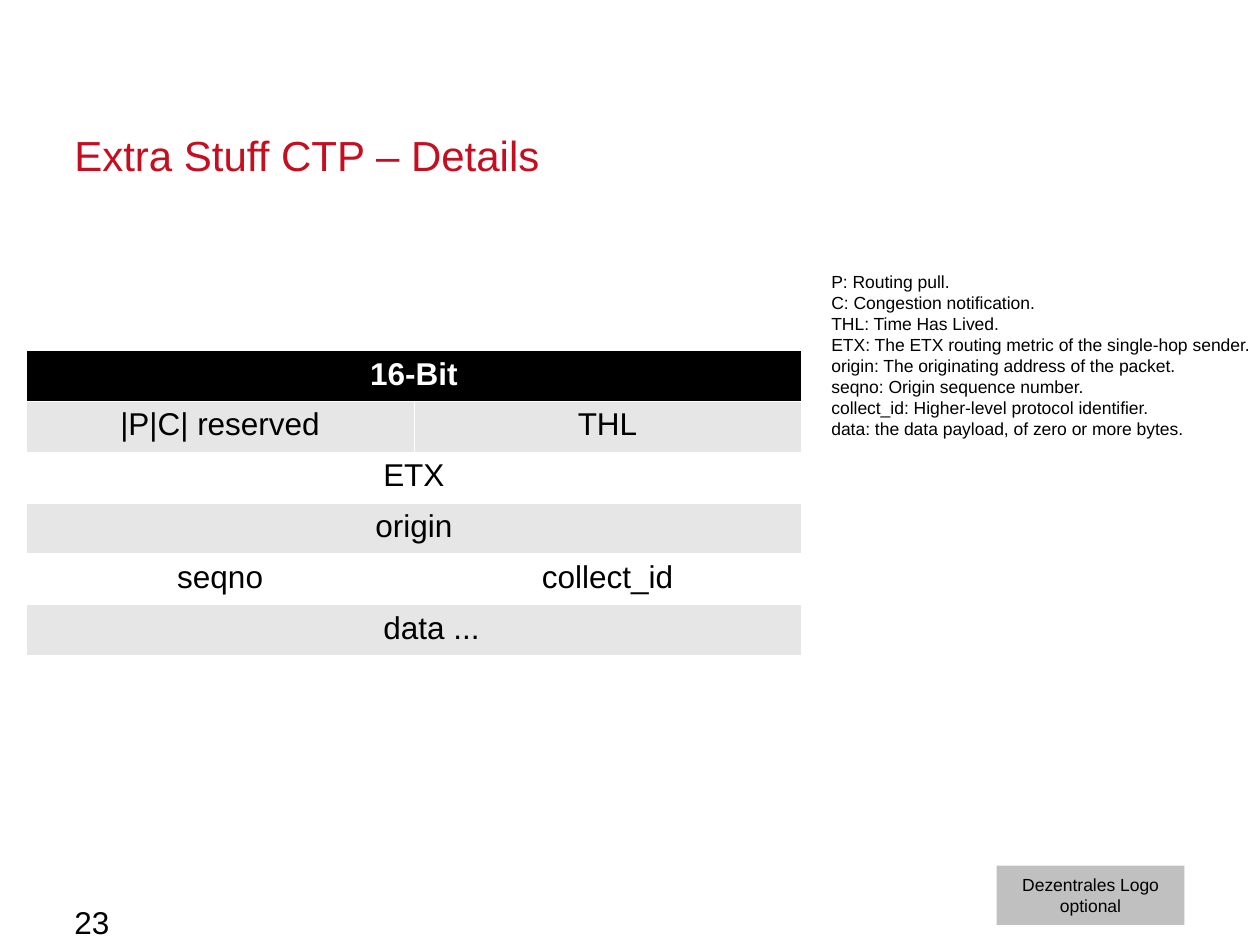
import pptx
import pptx.util
import pptx.dml.color
import pptx.enum.shapes
import pptx.enum.text
import pptx.oxml
import pptx.oxml.ns

Inches, Pt = pptx.util.Inches, pptx.util.Pt
ALIGN = pptx.enum.text.PP_ALIGN
ANCHOR = pptx.enum.text.MSO_ANCHOR

WIDTH, HEIGHT = 10, 7.5
MARGIN = 0.59
INSETS = (0.1, 0.05, 0.1, 0.05)
NO_INSETS = (0, 0, 0, 0)

TITLE = "Extra Stuff CTP – Details"
PAGE_NUMBER = "23"
LOGO_LABEL = ["Dezentrales Logo", "optional"]
PACKET_ROWS = [
    ["16-Bit"],
    ["|P|C| reserved", "THL"],
    ["ETX"],
    ["origin"],
    ["seqno", "collect_id"],
    ["data ..."],
]
FIELD_NOTES = [
    "P: Routing pull.",
    "C: Congestion notification.",
    "THL: Time Has Lived.",
    "ETX: The ETX routing metric of the single-hop sender.",
    "origin: The originating address of the packet.",
    "seqno: Origin sequence number.",
    "collect_id: Higher-level protocol identifier.",
    "data: the data payload, of zero or more bytes.",
]
PACKET_AT = (0.21, 2.78, 6.15, 2.42)
NOTES_LEFT = 6.5
DATA_INDENT = 0.28


def rgb(hex_colour):
    return pptx.dml.color.RGBColor.from_string(hex_colour)


def box(left, top, width, height):
    return [Inches(length) for length in (left, top, width, height)]


def fill_solid(target, colour):
    target.fill.solid()
    target.fill.fore_color.rgb = rgb(colour)


def write(frame, lines, size, colour="000000", bold=False, **paragraph_format):
    frame.text = "\n".join(lines)
    for paragraph in frame.paragraphs:
        for key, value in paragraph_format.items():
            setattr(paragraph, key, value)
        for key, value in {"name": "Arial", "size": Pt(size), "bold": bold}.items():
            setattr(paragraph.font, key, value)
        paragraph.font.color.rgb = rgb(colour)


def set_frame(target, insets, **frame_format):
    """Set insets and further attributes of a text frame or table cell."""
    for side, inset in zip(("left", "top", "right", "bottom"), insets):
        setattr(target, f"margin_{side}", Inches(inset))
    for key, value in frame_format.items():
        setattr(target, key, value)


def add_text(slide, at, lines, size, insets=NO_INSETS, anchor=ANCHOR.TOP, **text_format):
    frame = slide.shapes.add_textbox(*box(*at)).text_frame
    set_frame(frame, insets, word_wrap=True, vertical_anchor=anchor)
    write(frame, lines, size, **text_format)


def add_borders(cell, colour="FFFFFF", points=0.06):
    properties = cell._tc.get_or_add_tcPr()
    for position, side in enumerate(("lnL", "lnR", "lnT", "lnB")):
        line = pptx.oxml.parse_xml(
            f'<a:{side} {pptx.oxml.ns.nsdecls("a")} w="{Pt(points)}">'
            f'<a:solidFill><a:srgbClr val="{colour}"/></a:solidFill></a:{side}>'
        )
        properties.insert(position, line)


def add_packet_table(slide):
    column_count = max(len(fields) for fields in PACKET_ROWS)
    table = slide.shapes.add_table(
        len(PACKET_ROWS), column_count, *box(*PACKET_AT)
    ).table
    for row, fields in enumerate(PACKET_ROWS):
        is_header = row == 0
        row_fill = "000000" if is_header else ("E6E6E6" if row % 2 else "FFFFFF")
        for column in range(column_count):
            cell = table.cell(row, column)
            fill_solid(cell, row_fill)
            add_borders(cell)
        if len(fields) < column_count:
            table.cell(row, 0).merge(table.cell(row, column_count - 1))
        for column, field in enumerate(fields):
            cell = table.cell(row, column)
            set_frame(cell, INSETS)
            write(cell.text_frame, [field], 18, bold=is_header,
                  colour="FFFFFF" if is_header else "000000",
                  alignment=ALIGN.CENTER)
    table.cell(len(PACKET_ROWS) - 1, 0).margin_left = Inches(INSETS[0] + DATA_INDENT)


def add_logo_label(slide):
    label = slide.shapes.add_shape(
        pptx.enum.shapes.MSO_SHAPE.RECTANGLE, *box(7.91, 6.87, 1.49, 0.47)
    )
    label.shadow.inherit = False
    fill_solid(label, "C0C0C0")
    label.line.fill.background()
    set_frame(label.text_frame, INSETS, word_wrap=False,
              vertical_anchor=ANCHOR.MIDDLE)
    write(label.text_frame, LOGO_LABEL, 10, alignment=ALIGN.CENTER)


def main():
    deck = pptx.Presentation()
    deck.slide_width, deck.slide_height = Inches(WIDTH), Inches(HEIGHT)
    slide = deck.slides.add_slide(deck.slide_layouts[6])

    add_logo_label(slide)
    add_text(slide, (MARGIN, 0.8, WIDTH - 2 * MARGIN, 0.63), [TITLE], 24,
             anchor=ANCHOR.BOTTOM, colour="C50E1F", line_spacing=Pt(30))
    add_packet_table(slide)
    add_text(slide, (NOTES_LEFT, 2.1, WIDTH - NOTES_LEFT, 4.12), FIELD_NOTES, 10,
             insets=(0.1, 0.05, 0, 0.05))
    add_text(slide, (MARGIN, 7.17, 7.24, 0.17), [PAGE_NUMBER], 18)

    deck.save("out.pptx")


if __name__ == "__main__":
    main()
